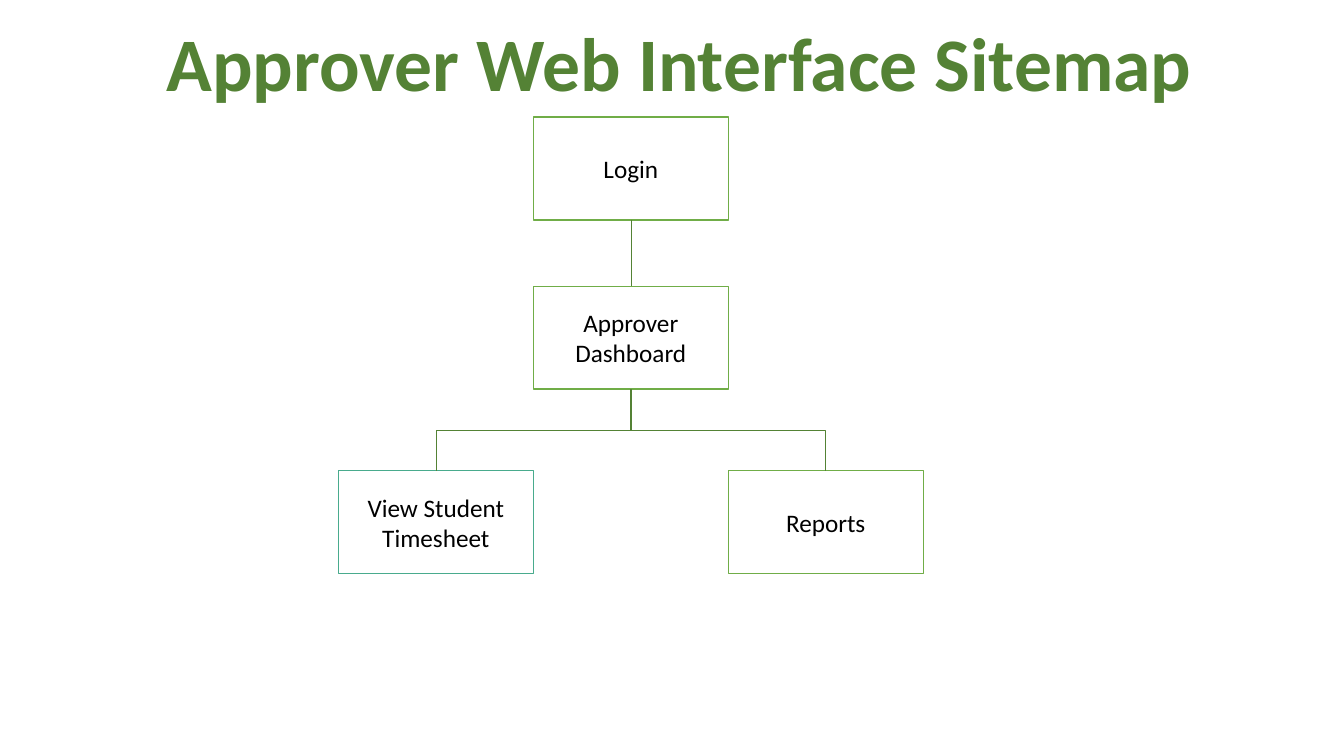
from dataclasses import dataclass

from lxml.etree import SubElement
from pptx import Presentation
from pptx.dml.color import RGBColor
from pptx.enum.shapes import MSO_CONNECTOR, MSO_SHAPE
from pptx.enum.text import MSO_ANCHOR, MSO_AUTO_SIZE, PP_ALIGN
from pptx.oxml.ns import qn
from pptx.shapes.autoshape import Shape
from pptx.shapes.connector import Connector
from pptx.slide import Slide
from pptx.text.text import TextFrame
from pptx.util import Pt

GREEN, DARK_GREEN, TEAL = "70AD47", "548235", "49AB8D"
WHITE, BLACK = "FFFFFF", "000000"
BOX_WIDTH, BOX_HEIGHT = 139.25, 73.5
CENTRE_LEFT = 381
TOP_SITE, BOTTOM_SITE = 0, 2


@dataclass
class Page:
    text: str
    column: int  # box widths away from the centre column
    top: float
    outline: str = GREEN
    parent: str = ""


PAGES = [
    Page("Login", 0, 83.5),
    Page("Approver\nDashboard", 0, 204.5, parent="Login"),
    Page("View Student Timesheet", -1, 336.25, TEAL, "Approver\nDashboard"),
    Page("Reports", 1, 336.25, parent="Approver\nDashboard"),
]


def colour(value: str) -> RGBColor:
    return RGBColor.from_string(value)


def write_text(frame: TextFrame, text: str, *, size: float, fill: str, bold: bool = False) -> None:
    frame.text = text
    for paragraph in frame.paragraphs:
        paragraph.alignment = PP_ALIGN.CENTER
        for run in paragraph.runs:
            run.font.name = "Calibri"
            run.font.size = Pt(size)
            run.font.bold = bold
            run.font.color.rgb = colour(fill)


def add_title(slide: Slide, text: str) -> None:
    shape = slide.shapes.add_textbox(Pt(108), Pt(8), Pt(754.5), Pt(72.7))
    frame = shape.text_frame
    frame.word_wrap = False
    frame.auto_size = MSO_AUTO_SIZE.SHAPE_TO_FIT_TEXT
    write_text(frame, text, size=54, fill=DARK_GREEN, bold=True)


def add_page_box(slide: Slide, page: Page) -> Shape:
    shape = slide.shapes.add_shape(
        MSO_SHAPE.FLOWCHART_PROCESS,
        Pt(CENTRE_LEFT + page.column * BOX_WIDTH), Pt(page.top),
        Pt(BOX_WIDTH), Pt(BOX_HEIGHT),
    )
    shape.shadow.inherit = False
    shape.fill.solid()
    shape.fill.fore_color.rgb = colour(WHITE)
    shape.line.color.rgb = colour(page.outline)
    shape.line.width = Pt(1)
    shape.text_frame.word_wrap = True
    shape.text_frame.vertical_anchor = MSO_ANCHOR.MIDDLE
    write_text(shape.text_frame, page.text, size=18, fill=BLACK)
    return shape


def turn_elbow(connector: Connector, to_right: bool) -> None:
    """Turn the elbow a quarter so that it leaves and arrives vertically."""
    width, height = connector.width, connector.height
    connector.left += (width - height) // 2
    connector.top += (height - width) // 2
    connector.width, connector.height = height, width
    transform = connector._element.spPr.find(qn("a:xfrm"))
    transform.set("rot", str((270 if to_right else 90) * 60000))
    transform.set("flipH", "1" if to_right else "0")


def add_link(slide: Slide, parent: Shape, child: Shape) -> None:
    straight = parent.left == child.left
    kind = MSO_CONNECTOR.STRAIGHT if straight else MSO_CONNECTOR.ELBOW
    connector = slide.shapes.add_connector(kind, Pt(0), Pt(0), Pt(0), Pt(0))
    connector.begin_connect(parent, BOTTOM_SITE)
    connector.end_connect(child, TOP_SITE)
    if not straight:
        turn_elbow(connector, child.left > parent.left)
    connector.line.color.rgb = colour(DARK_GREEN)
    connector.line.width = Pt(0.5)
    SubElement(connector._element.spPr, qn("a:effectLst"))


def main() -> None:
    presentation = Presentation()
    presentation.slide_width, presentation.slide_height = Pt(960), Pt(540)
    slide = presentation.slides.add_slide(presentation.slide_layouts[6])

    # Page boxes
    boxes = {page.text: add_page_box(slide, page) for page in PAGES}

    # Links from each page to its parent
    for page in PAGES:
        if page.parent:
            add_link(slide, boxes[page.parent], boxes[page.text])

    # Heading
    add_title(slide, "Approver Web Interface Sitemap")
    presentation.save("out.pptx")


if __name__ == "__main__":
    main()
